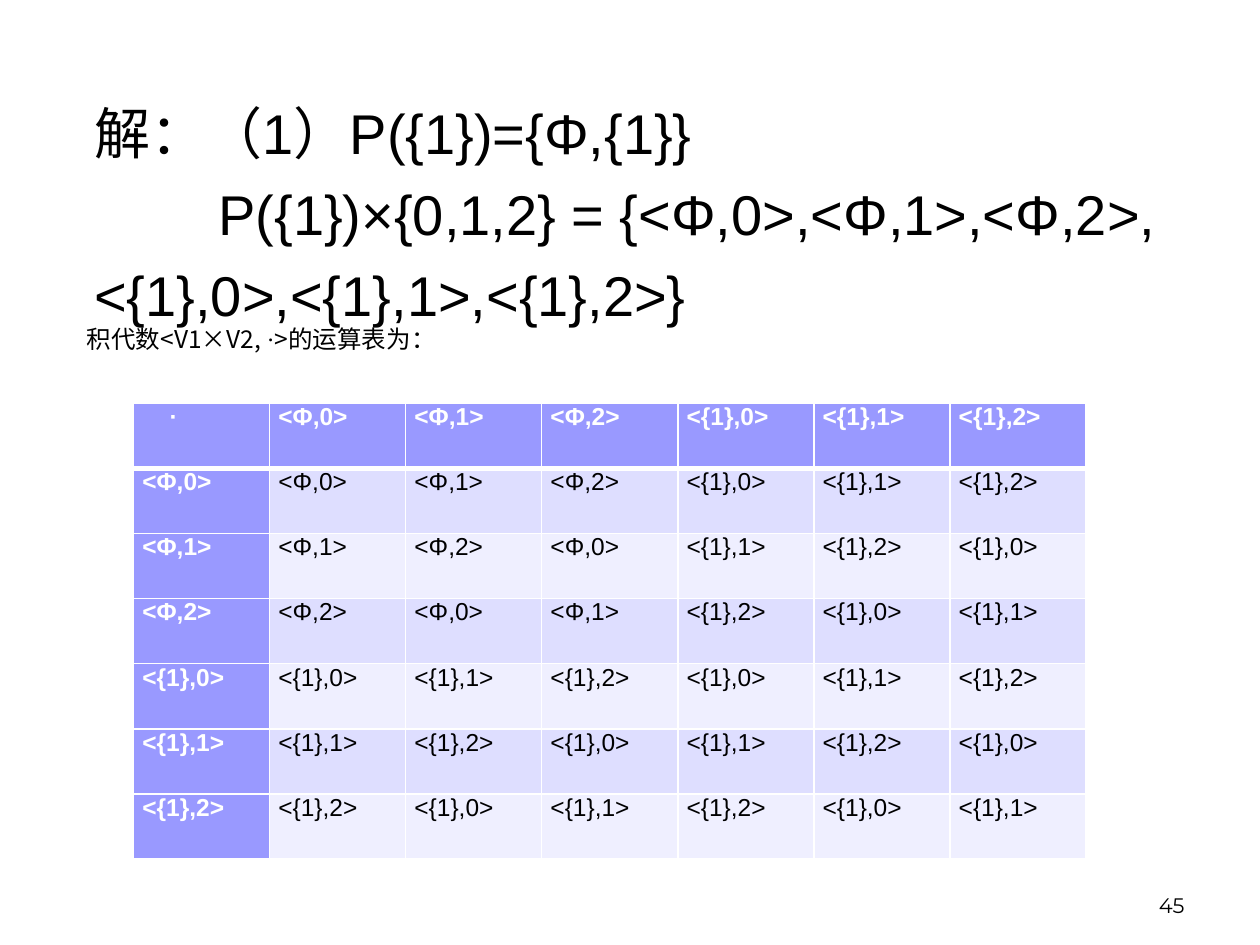
from lxml import etree
from pptx import Presentation
from pptx.dml.color import RGBColor
from pptx.enum.text import MSO_ANCHOR, PP_ALIGN
from pptx.oxml.ns import qn
from pptx.util import Pt

LEFT, RIGHT, JUSTIFY = PP_ALIGN.LEFT, PP_ALIGN.RIGHT, PP_ALIGN.JUSTIFY
TOP, BOTTOM = MSO_ANCHOR.TOP, MSO_ANCHOR.BOTTOM

BLACK = RGBColor(0x00, 0x00, 0x00)
WHITE = RGBColor(0xFF, 0xFF, 0xFF)
HEADER_FILL = RGBColor(0x99, 0x99, 0xFF)
BAND_FILLS = (RGBColor(0xDE, 0xDE, 0xFF), RGBColor(0xEF, 0xEF, 0xFF))
CJK = "Noto Sans CJK SC"

# Content: solution lines with their first-line indents
SOLUTION = [
    ("解：（1）P({1})={Φ,{1}}", 0),
    ("P({1})×{0,1,2} = {<Φ,0>,<Φ,1>,<Φ,2>,", 71),
    ("<{1},0>,<{1},1>,<{1},2>}", 0),
]
CAPTION = [("积代数<V1×V2, ", CJK), ("·", "Times New Roman"), (">的运算表为：", CJK)]
PAGE_NUMBER = "45"
OPERATOR = "·"
SUBSETS = ("Φ", "{1}")
MODULUS = 3
ELEMENTS = [(subset, n) for subset in range(len(SUBSETS)) for n in range(MODULUS)]

# Table geometry
TABLE_LEFT, TABLE_TOP = 76.32, 230.4
COLUMN_WIDTH, ROW_HEIGHT = 77.76, 37.23
OPERATOR_INDENT = 15.6


def label(element):
    subset, n = element
    return f"<{SUBSETS[subset]},{n}>"


def product(a, b):
    """Union of the subsets, sum of the numbers modulo 3."""
    return max(a[0], b[0]), (a[1] + b[1]) % MODULUS


def write(paragraph, text, *, size, font="Arial", color=BLACK, bold=False,
          align=LEFT, indent=0, before=0):
    """Add text to a paragraph; text is a string or a list of (string, font)."""
    paragraph.alignment = align
    if before:
        paragraph.space_before = Pt(before)
    if indent:
        properties = paragraph._p.get_or_add_pPr()
        properties.set("marL", "0")
        properties.set("indent", str(Pt(indent)))
    for part, face in [(text, font)] if isinstance(text, str) else text:
        run = paragraph.add_run()
        run.text = part
        run.font.size = Pt(size)
        run.font.name = face
        run.font.bold = bold
        run.font.color.rgb = color
        east_asian = etree.SubElement(run._r.get_or_add_rPr(), qn("a:ea"))
        east_asian.set("typeface", face)


def add_frame(slide, left, top, width, height, *, anchor=TOP, margin_top=3.6):
    box = slide.shapes.add_textbox(Pt(left), Pt(top), Pt(width), Pt(height))
    frame = box.text_frame
    frame.word_wrap = True
    frame.vertical_anchor = anchor
    frame.margin_top = Pt(margin_top)
    return frame


def set_borders(cell, top, bottom):
    """Draw white borders, with the given widths above and below."""
    properties = cell._tc.get_or_add_tcPr()
    sides = (("a:lnL", 1), ("a:lnR", 1), ("a:lnT", top), ("a:lnB", bottom))
    for position, (tag, width) in enumerate(sides):
        line = etree.Element(qn(tag), w=str(Pt(width)))
        fill = etree.SubElement(line, qn("a:solidFill"))
        etree.SubElement(fill, qn("a:srgbClr"), val=str(WHITE))
        properties.insert(position, line)


def add_operation_table(slide):
    labels = [label(element) for element in ELEMENTS]
    rows = [[OPERATOR] + labels]
    for a in ELEMENTS:
        rows.append([label(a)] + [label(product(a, b)) for b in ELEMENTS])
    count = len(rows)
    table = slide.shapes.add_table(
        count, count, Pt(TABLE_LEFT), Pt(TABLE_TOP),
        Pt(COLUMN_WIDTH * count), Pt(ROW_HEIGHT * count)).table
    for i in range(count):
        table.columns[i].width = Pt(COLUMN_WIDTH)
        table.rows[i].height = Pt(ROW_HEIGHT)
    for r, row in enumerate(rows):
        for c, text in enumerate(row):
            heading = r == 0 or c == 0
            cell = table.cell(r, c)
            cell.margin_left = cell.margin_right = Pt(5)
            cell.margin_top = cell.margin_bottom = 0
            cell.fill.solid()
            cell.fill.fore_color.rgb = HEADER_FILL if heading else BAND_FILLS[(r - 1) % 2]
            set_borders(cell, top=3 if r == 1 else 1, bottom=3 if r == 0 else 1)
            write(cell.text_frame.paragraphs[0], text, size=14, bold=heading,
                  color=WHITE if heading else BLACK,
                  align=JUSTIFY if not heading and SUBSETS[1] in text else LEFT,
                  indent=OPERATOR_INDENT if text == OPERATOR else 0)


def main():
    deck = Presentation()
    deck.slide_width, deck.slide_height = Pt(720), Pt(540)
    slide = deck.slides.add_slide(deck.slide_layouts[6])

    # Solution
    solution = add_frame(slide, 46.8, 48.24, 648, 452.88, margin_top=8)
    for i, (text, indent) in enumerate(SOLUTION):
        paragraph = solution.add_paragraph() if i else solution.paragraphs[0]
        write(paragraph, text, size=32, indent=indent, before=8 if i else 0)

    # Page number
    page = add_frame(slide, 516.24, 491.76, 167.76, 36, anchor=BOTTOM)
    write(page.paragraphs[0], PAGE_NUMBER, size=12, font="Montserrat", align=RIGHT)

    # Operation table and its caption
    add_operation_table(slide)
    caption = add_frame(slide, 42.48, 185.04, 677.52, 36, margin_top=0)
    write(caption.paragraphs[0], CAPTION, size=14)

    deck.save("out.pptx")


if __name__ == "__main__":
    main()
